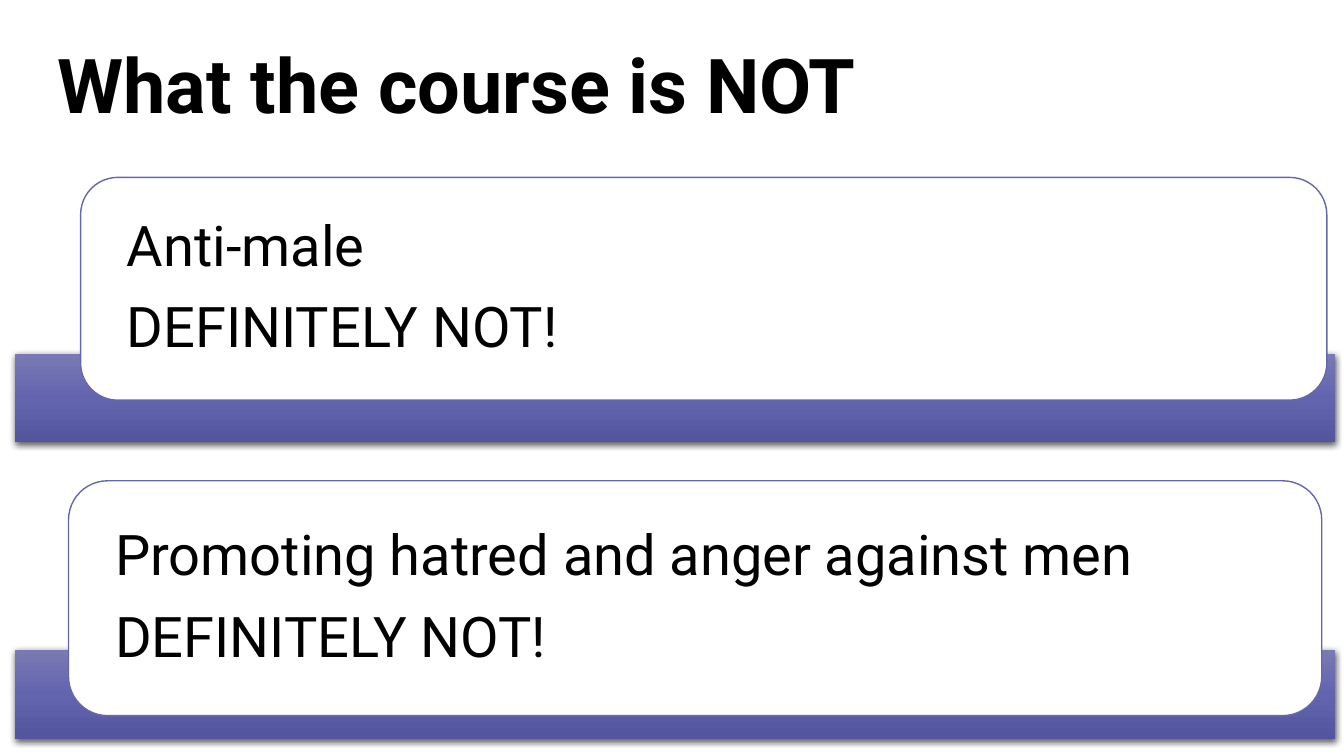
from copy import deepcopy

from lxml import etree
from pptx import Presentation
from pptx.dml.color import RGBColor
from pptx.enum.shapes import MSO_SHAPE
from pptx.enum.text import MSO_ANCHOR, PP_ALIGN
from pptx.oxml.ns import qn
from pptx.util import Inches, Pt

RECTANGLE = MSO_SHAPE.RECTANGLE
ROUNDED = MSO_SHAPE.ROUNDED_RECTANGLE
MIDDLE = MSO_ANCHOR.MIDDLE
LEFT = PP_ALIGN.LEFT

FONT = "Roboto"
COLORS = {
    "text": "000000",
    "card": "FFFFFF",
    "outline": "6667AB",
    "bar_top": "797AB4",
    "bar_middle": "6364AE",
    "bar_bottom": "54559F",
    "shadow": "000000",
}


def color(name):
    return RGBColor.from_string(COLORS[name])


def write_lines(frame, lines, size, bold=False, space_after=0):
    frame.word_wrap = True
    frame.vertical_anchor = MIDDLE
    for i, line in enumerate(lines):
        paragraph = frame.paragraphs[0] if i == 0 else frame.add_paragraph()
        paragraph.alignment = LEFT
        paragraph.line_spacing = 0.9
        paragraph.space_after = Pt(space_after)
        run = paragraph.add_run()
        run.text = line
        run.font.name = FONT
        run.font.size = Pt(size)
        run.font.bold = bold
        run.font.color.rgb = color("text")


prs = Presentation()
prs.slide_width = Inches(13.33)
prs.slide_height = Inches(7.5)
slide = prs.slides.add_slide(prs.slide_layouts[6])

# Title
title = slide.shapes.add_textbox(Inches(0.47), Inches(0.39), Inches(9.82), Inches(0.99))
write_lines(title.text_frame, ["What the course is NOT"], 54, bold=True)

# Statements: bar top, card box (left, top, width, height), first line
statements = [
    (3.51, (0.8, 1.76, 12.36, 2.21), "Anti-male"),
    (6.45, (0.68, 4.77, 12.43, 2.33), "Promoting hatred and anger against men"),
]
for bar_top, card_box, claim in statements:
    # Gradient bar with a soft shadow below
    bar = slide.shapes.add_shape(RECTANGLE, Inches(0.15), Inches(bar_top), Inches(13.09), Inches(0.88))
    bar.line.fill.background()
    bar.fill.gradient()
    bar.fill.gradient_angle = 270
    stop_list = bar._element.spPr.find(qn("a:gradFill")).find(qn("a:gsLst"))
    stop_list.insert(1, deepcopy(stop_list[0]))
    shades = ["bar_top", "bar_middle", "bar_bottom"]
    for i, (stop, shade) in enumerate(zip(bar.fill.gradient_stops, shades)):
        stop.position = i / 2
        stop.color.rgb = color(shade)

    bar.shadow.inherit = False
    effects = bar._element.spPr.find(qn("a:effectLst"))
    shadow = etree.SubElement(effects, qn("a:outerShdw"), blurRad=str(Pt(4.5)),
                              dist=str(Pt(1.5)), dir="5400000", algn="ctr", rotWithShape="0")
    shadow_color = etree.SubElement(shadow, qn("a:srgbClr"), val=COLORS["shadow"])
    etree.SubElement(shadow_color, qn("a:alpha"), val="63000")

    # Rounded card with its text
    card = slide.shapes.add_shape(ROUNDED, *map(Inches, card_box))
    card.shadow.inherit = False
    card.fill.solid()
    card.fill.fore_color.rgb = color("card")
    card.line.color.rgb = color("outline")
    card.line.width = Pt(1)
    frame = card.text_frame
    frame.margin_left = frame.margin_right = Inches(0.35)
    frame.margin_top = frame.margin_bottom = 0
    write_lines(frame, [claim, "DEFINITELY NOT!"], 40, space_after=15)

prs.save("out.pptx")
